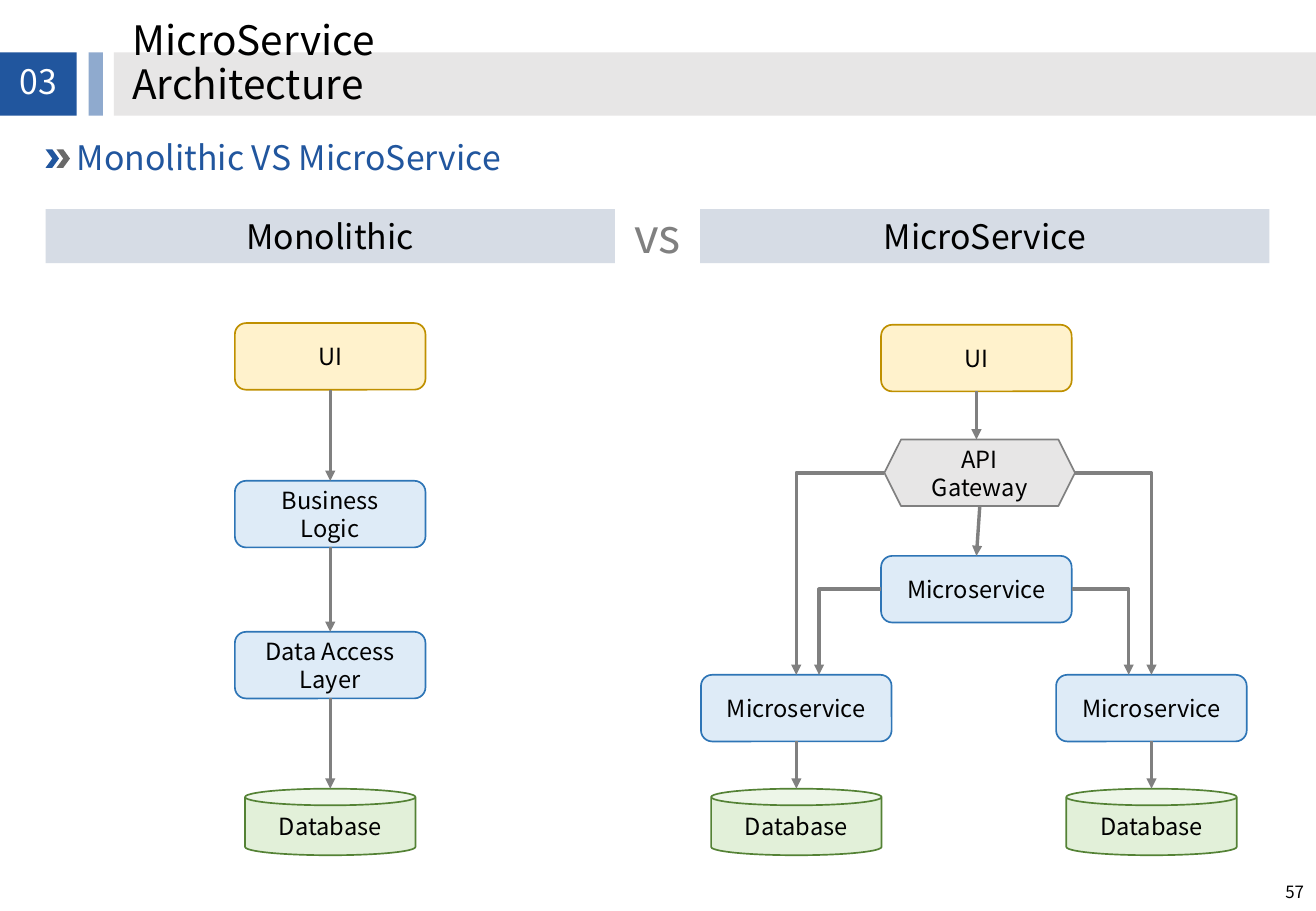
from pptx import Presentation
from pptx.dml.color import RGBColor
from pptx.enum.shapes import MSO_CONNECTOR as LINK, MSO_SHAPE as FORM
from pptx.enum.text import MSO_ANCHOR as SIDE, PP_ALIGN as ALIGN
from pptx.oxml.ns import qn
from pptx.util import Pt
from lxml.etree import SubElement

FONT = "Noto Sans CJK KR"
HEX = {
    "blue": "21569E", "dark": "696969", "gray": "808080", "pale": "E7E6E6",
    "bar": "D6DCE5", "black": "000000", "white": "FFFFFF",
    "sun": "FFF2CC", "gold": "BF9000", "sky": "DEEBF7", "sea": "2E75B6",
    "mint": "E2F0D9", "leaf": "548235",
}
KINDS = {
    "ui": (FORM.ROUNDED_RECTANGLE, "sun", "gold", 113),
    "logic": (FORM.ROUNDED_RECTANGLE, "sky", "sea", 113),
    "gate": (FORM.HEXAGON, "pale", "gray", 113),
    "data": (FORM.CAN, "mint", "leaf", 101),
}
TALL = 39.5


def tint(name):
    """Return the named colour."""
    return RGBColor.from_string(HEX[name])


def write(shape, lines, size, color="black", align=ALIGN.CENTER,
          side=SIDE.MIDDLE, wrap=True, inset=None, space=None):
    """Write lines into a shape, one paragraph each."""
    frame = shape.text_frame
    frame.word_wrap = wrap
    frame.vertical_anchor = side
    if inset is not None:
        frame.margin_left = frame.margin_right = Pt(inset)
        frame.margin_top = frame.margin_bottom = Pt(inset)
    for i, line in enumerate(lines):
        para = frame.add_paragraph() if i else frame.paragraphs[0]
        para.alignment = align
        if space:
            para.line_spacing = space
        run = para.add_run()
        run.text = line
        run.font.name = FONT
        run.font.size = Pt(size)
        run.font.color.rgb = tint(color)


def draw(slide, form, box, fill, edge=None):
    """Draw a filled preset shape."""
    shape = slide.shapes.add_shape(form, *map(Pt, box))
    shape.shadow.inherit = False
    shape.fill.solid()
    shape.fill.fore_color.rgb = tint(fill)
    if edge:
        shape.line.color.rgb = tint(edge)
        shape.line.width = Pt(1)
    else:
        shape.line.fill.background()
    return shape


def label(slide, box, text, size, **style):
    """Add a text box with one line of text."""
    write(slide.shapes.add_textbox(*map(Pt, box)), [text], size, **style)


def node(slide, kind, mid, top, *lines):
    """Draw a diagram node centred on mid."""
    form, fill, edge, wide = KINDS[kind]
    shape = draw(slide, form, (mid - wide / 2, top, wide, TALL), fill, edge)
    write(shape, lines, 14)
    return shape


def arrow(slide, kind, x1, y1, x2, y2):
    """Add a gray connector with an arrowhead at its end."""
    line = slide.shapes.add_connector(kind, *map(Pt, (x1, y1, x2, y2)))
    line.line.color.rgb = tint("gray")
    line.line.width = Pt(2)
    SubElement(line.line._get_or_add_ln(), qn("a:tailEnd"), type="triangle")
    SubElement(line.element.spPr, qn("a:effectLst"))
    return line


def drop(slide, start, end):
    """Join two stacked nodes with a straight arrow."""
    mid = (start.left + start.width / 2) / Pt(1)
    low = (start.top + start.height) / Pt(1)
    line = arrow(slide, LINK.STRAIGHT, mid, low, mid, end.top / Pt(1))
    if start.auto_shape_type == FORM.ROUNDED_RECTANGLE:
        line.begin_connect(start, 2)
    if end.auto_shape_type == FORM.ROUNDED_RECTANGLE:
        line.end_connect(end, 0)


def bend(slide, start, left, right, low):
    """Run an arrow from each side of a node out and down."""
    y = (start.top + start.height / 2) / Pt(1)
    for edge, x in ((start.left, left), (start.left + start.width, right)):
        line = arrow(slide, LINK.ELBOW, edge / Pt(1), y, x, low)
        line.element.spPr.find(qn("a:prstGeom")).set("prst", "bentConnector2")


def banner(slide, box):
    """Draw the title band with its chapter number."""
    x, y, wide, tall = box
    draw(slide, FORM.RECTANGLE, (x + 67.5, y, wide - 67.5, tall), "pale")
    chip = draw(slide, FORM.RECTANGLE, (x, y, 45.5, tall), "blue")
    strip = draw(slide, FORM.RECTANGLE, (x + 52.5, y, 8.5, tall), "blue")
    shade = strip.element.spPr.find(".//" + qn("a:srgbClr"))
    SubElement(shade, qn("a:alpha"), val="50000")
    write(chip, ["03"], 20, "white", inset=0, space=0.9)
    label(slide, (x + 78.5, y + 7, 280, 26), "MicroService Architecture", 24,
          align=ALIGN.LEFT, side=SIDE.BOTTOM, inset=0, space=0.9)


def topic(slide, box):
    """Draw the heading with its double chevron."""
    x, y, wide, tall = box
    for i, fill in enumerate(("blue", "dark")):
        draw(slide, FORM.CHEVRON, (x + 6.5 * i, y + 4.5, 8, 11), fill)
    label(slide, (x + 18.5, y, wide - 18.5, tall), "Monolithic VS MicroService",
          20, color="blue", align=ALIGN.LEFT, inset=0, space=0.9)


def versus(slide, box):
    """Draw the two column headings and the word between them."""
    x, y, wide, tall = box
    half = 337.5
    for left, text in ((x, "Monolithic"), (x + wide - half, "MicroService")):
        bar = draw(slide, FORM.RECTANGLE, (left, y, half, tall), "bar")
        write(bar, [text], 20, wrap=False)
    label(slide, (x + wide / 2 - 21, y - 5, 42, 41), "vs", 28,
          color="gray", side=SIDE.TOP, wrap=False)


def mono(slide, box):
    """Draw the monolithic stack."""
    x, y, wide, tall = box
    mid = x + wide / 2
    stack = [
        node(slide, "ui", mid, y, "UI"),
        node(slide, "logic", mid, y + 93.5, "Business Logic"),
        node(slide, "logic", mid, y + 183, "Data Access Layer"),
        node(slide, "data", mid, y + tall - TALL, "Database"),
    ]
    for start, end in zip(stack, stack[1:]):
        drop(slide, start, end)


def micro(slide, box):
    """Draw the microservice tree."""
    x, y, wide, tall = box
    mid, low = x + wide / 2 + 1.5, y + 208.5
    left, right = x + 56.5, x + wide - 56.5
    front = node(slide, "ui", mid, y + 1, "UI")
    gate = node(slide, "gate", mid + 2, y + 69, "API", "Gateway")
    hub = node(slide, "logic", mid, y + 138, "Microservice")
    drop(slide, front, gate)
    drop(slide, gate, hub)
    for spot in (left, right):
        leaf = node(slide, "logic", spot, low, "Microservice")
        store = node(slide, "data", spot, y + tall - TALL, "Database")
        drop(slide, leaf, store)
    bend(slide, gate, left, right, low)
    bend(slide, hub, left + 13.5, right - 13.5, low)


def main():
    """Build the slide and save it."""
    deck = Presentation()
    deck.slide_width, deck.slide_height = Pt(780), Pt(540)
    slide = deck.slides.add_slide(deck.slide_layouts[6])
    banner(slide, (0, 31, 780, 37.5))
    topic(slide, (27, 84, 725.5, 21.5))
    versus(slide, (27, 124, 725.5, 32))
    mono(slide, (27, 191.5, 337.5, 315.5))
    micro(slide, (415.5, 191.5, 323.5, 315.5))
    label(slide, (699, 514, 81, 29), "57", 10, align=ALIGN.RIGHT)
    deck.save("out.pptx")


if __name__ == "__main__":
    main()
